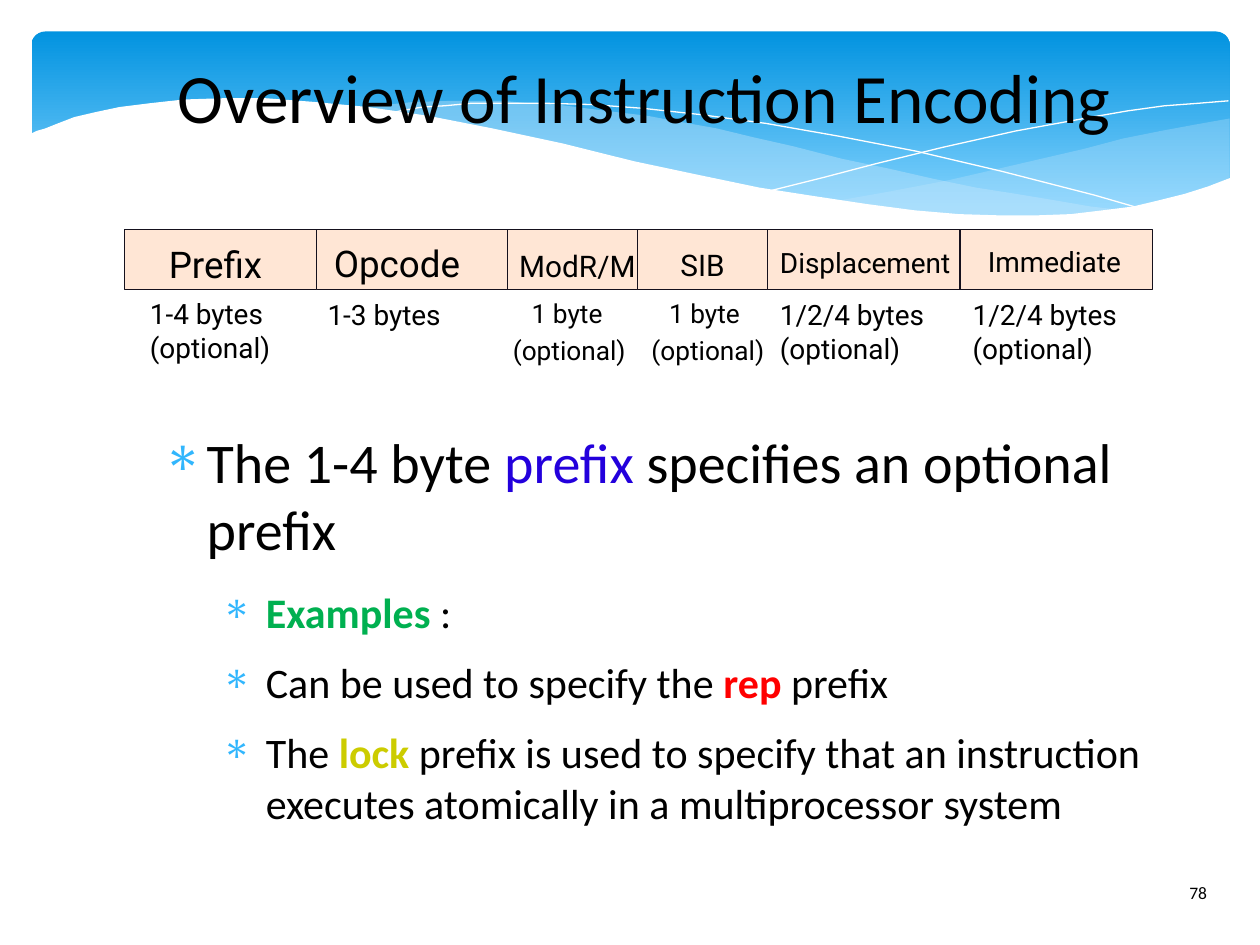
import pptx
import pptx.dml.color
import pptx.enum.shapes
import pptx.enum.text
import pptx.oxml
import pptx.oxml.ns
import pptx.util
from lxml import etree

presentation = pptx.Presentation()
presentation.slide_width = pptx.util.Inches(10)
presentation.slide_height = pptx.util.Inches(7.5)
column = presentation.slide_width // 1000
row = presentation.slide_height // 750
slide = presentation.slides.add_slide(presentation.slide_layouts[6])


def color(value):
    return pptx.dml.color.RGBColor.from_string(value)


def add_text(text, size, font_name, left, top, width, height, inset=0, wrap=False):
    box = slide.shapes.add_textbox(left * column, top * row, width * column, round(height * row))
    frame = box.text_frame
    frame.word_wrap = wrap
    frame.margin_left = frame.margin_right = inset * column
    frame.margin_top = frame.margin_bottom = inset // 2 * row
    paragraph = frame.paragraphs[0]
    paragraph.text = text
    paragraph.font.size = pptx.util.Pt(size)
    paragraph.font.name = font_name
    paragraph.font.color.rgb = color("000000")
    return frame


banner = slide.shapes.add_shape(
    pptx.enum.shapes.MSO_SHAPE.ROUNDED_RECTANGLE, 25 * column, 25 * row, 951 * column, 156 * row)
banner.shadow.inherit = False
banner.adjustments[0] = 0.07
banner.line.fill.background()
banner.fill.gradient()
banner.fill.gradient_angle = 270
for stop, (position, shade) in zip(banner.fill.gradient_stops, [(0, "0293E0"), (0.9, "83D3FE")]):
    stop.position = position
    stop.color.rgb = color(shade)

right_swell = [
    (976, 94), (948, 99), (921, 104), (891, 110), (861, 118), (805, 131), (753, 143), (706, 152),
    (661, 160), (691, 164), (719, 167), (745, 169), (769, 171), (792, 172), (814, 172), (835, 172),
    (854, 170), (872, 169), (889, 166), (905, 163), (921, 160), (935, 156), (949, 152), (963, 147),
    (976, 141)]
middle_swell = [
    (893, 167), (866, 164), (837, 159), (807, 154), (775, 149), (741, 142), (706, 134), (668, 126),
    (629, 116), (598, 109), (569, 102), (541, 97), (514, 92), (489, 89), (465, 86), (442, 83),
    (420, 82), (399, 80), (361, 80), (328, 81), (299, 84), (286, 86), (323, 90), (362, 97),
    (404, 106), (449, 116), (491, 126), (530, 135), (566, 143), (601, 150), (634, 156), (665, 161),
    (695, 165), (722, 168), (748, 170), (773, 172), (796, 173), (828, 173), (857, 171), (876, 169)]
falling_line = [
    (309, 90), (318, 88), (335, 85), (353, 84), (374, 82), (401, 82), (433, 82), (469, 83),
    (510, 86), (556, 91), (608, 98), (665, 108), (727, 120), (795, 136), (869, 155), (907, 166)]
rising_line = [
    (613, 151), (653, 141), (695, 130), (748, 117), (806, 104), (866, 93), (895, 88), (924, 84),
    (951, 82), (975, 80)]
white_wave = [
    (977, 141), (959, 148), (940, 154), (920, 159), (899, 164), (875, 167), (850, 170), (823, 171),
    (793, 171), (761, 170), (726, 167), (688, 162), (648, 156), (603, 149), (555, 139), (503, 128),
    (447, 114), (391, 102), (340, 92), (292, 85), (250, 81), (211, 78), (177, 78), (146, 79),
    (119, 82), (95, 85), (76, 89), (59, 93), (46, 98), (36, 102), (29, 104), (23, 107),
    (23, 224), (977, 224)]
for points, fill, opacity in [
        (right_swell, "C6E7FC", 29), (middle_swell, "C6E7FC", 40), (falling_line, None, 100),
        (rising_line, None, 100), (white_wave, "FFFFFF", 100)]:
    builder = slide.shapes.build_freeform(*points[0], scale=(column, row))
    builder.add_line_segments(points[1:], close=fill is not None)
    wave = builder.convert_to_shape()
    wave.shadow.inherit = False
    if fill is None:
        wave.fill.background()
        wave.line.color.rgb = color("FFFFFF")
        wave.line.width = 0
        continue
    wave.line.fill.background()
    wave.fill.solid()
    wave.fill.fore_color.rgb = color(fill)
    if opacity < 100:
        fill_color = wave.element.spPr.find(".//" + pptx.oxml.ns.qn("a:srgbClr"))
        etree.SubElement(fill_color, pptx.oxml.ns.qn("a:alpha"), val=str(opacity * 1000))

add_text("78", 10, "Calibri", 934, 695, 61, 40, inset=10, wrap=True)
title = add_text("Overview of Instruction Encoding", 39.6, "Calibri", 106, 25, 811, 102, wrap=True)
title.vertical_anchor = pptx.enum.text.MSO_ANCHOR.MIDDLE
title.paragraphs[0].alignment = pptx.enum.text.PP_ALIGN.CENTER

bullets = [
    (0, 32, [("The 1-4 byte ", None), ("prefix", "2300DC"), (" specifies an optional prefix", None)]),
    (1, 24, [("Examples", "00B050"), (" :", None)]),
    (1, 24, [("Can be used to specify the ", None), ("rep", "FF0000"), (" prefix", None)]),
    (1, 24, [("The ", None), ("lock", "CCCC00"),
             (" prefix is used to specify that an instruction executes atomically"
              " in a multiprocessor system", None)])]
body = add_text("", 32, "Calibri", 117, 339, 826, 353, wrap=True)
for index, (level, size, runs) in enumerate(bullets):
    paragraph = body.add_paragraph() if index else body.paragraphs[0]
    paragraph.level = level
    paragraph.space_after = pptx.util.Pt(11.3 if level else 14.1)
    properties = paragraph._p.get_or_add_pPr()
    properties.set("marL", str(47 * (level + 1) * column))
    properties.set("indent", str(-35 * column))
    namespace = pptx.oxml.ns.nsdecls("a")
    bullet_elements = [
        pptx.oxml.parse_xml(f'<a:buClr {namespace}><a:srgbClr val="31B6FD"/></a:buClr>'),
        pptx.oxml.parse_xml(f'<a:buChar {namespace} char="∗"/>')]
    for element in properties.findall(pptx.oxml.ns.qn("a:defRPr")):
        properties.remove(element)
    properties.extend(bullet_elements)
    paragraph.font.size = pptx.util.Pt(size)
    paragraph.font.name = "Calibri"
    paragraph.font.color.rgb = color("000000")
    for text, highlight in runs:
        run = paragraph.add_run()
        run.text = text
        if highlight:
            run.font.color.rgb = color(highlight)
            run.font.bold = level > 0

fields = [
    (99, 153, [("Prefix", 21, 134, 192, 86), ("1-4 bytes", 16, 119, 235, 100),
               ("(optional)", 16, 119, 262, 101)]),
    (251, 153, [("Opcode", 21, 265, 191, 113), ("1-3 bytes", 16, 260, 236, 100)]),
    (403, 104, [("ModR/M", 17, 412, 197, 99), ("1 byte", 15, 422, 236, 69),
                ("(optional)", 15, 407, 265, 101)]),
    (506, 104, [("SIB", 17, 540, 196, 48), ("1 byte", 15, 531, 236, 65),
                ("(optional)", 15, 517, 265, 95)]),
    (609, 153, [("Displacement", 16, 619, 195, 142), ("1/2/4 bytes", 16, 619, 236, 117),
                ("(optional)", 16, 619, 263, 101)]),
    (762, 153, [("Immediate", 16, 784, 194, 112), ("1/2/4 bytes", 16, 772, 236, 117),
                ("(optional)", 16, 772, 263, 101)])]
for field_left, field_width, labels in fields:
    field = slide.shapes.add_shape(
        pptx.enum.shapes.MSO_SHAPE.RECTANGLE,
        field_left * column, 182 * row, field_width * column, 48 * row)
    field.shadow.inherit = False
    field.fill.solid()
    field.fill.fore_color.rgb = color("FFE6D5")
    field.line.color.rgb = color("15111D")
    field.line.width = 0
    for text, size, left, top, width in labels:
        add_text(text, size, "Roboto", left, top, width, size * 1.9)

presentation.save("out.pptx")
